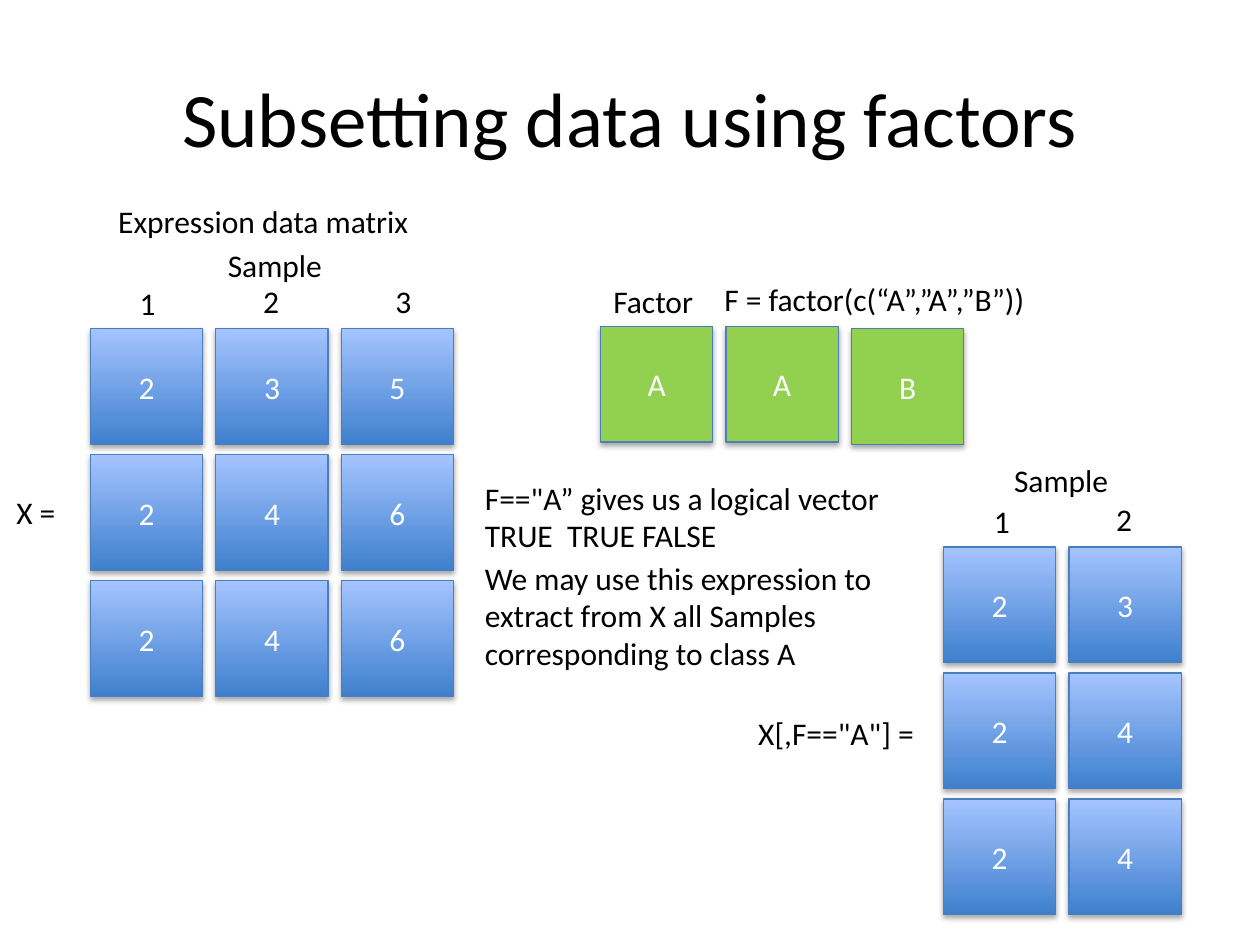
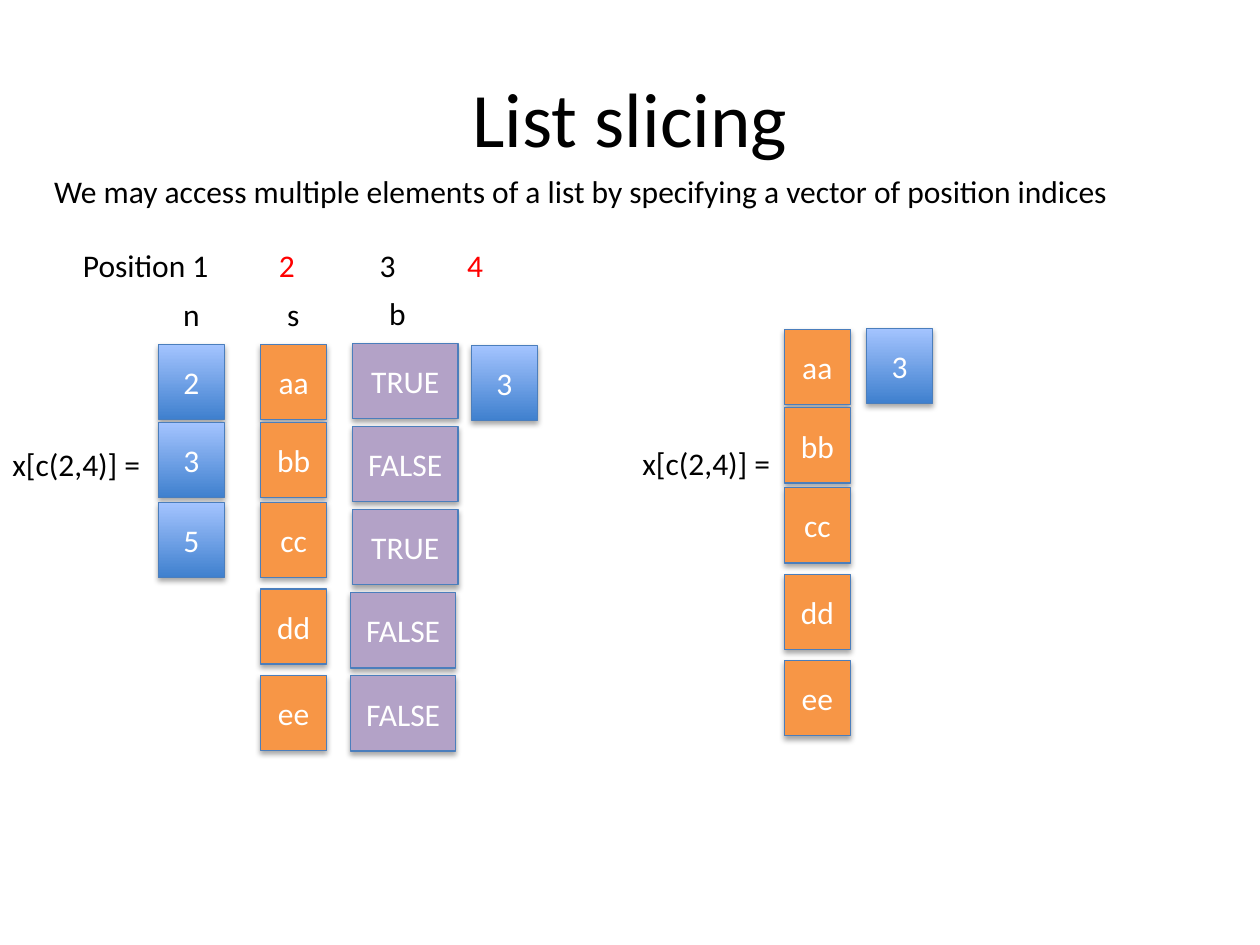
"""Builds two slides on subsetting matrices by factor and slicing lists."""
from lxml.etree import SubElement
from pptx import Presentation
from pptx.dml.color import RGBColor
from pptx.enum.shapes import MSO_SHAPE as Preset
from pptx.enum.text import MSO_ANCHOR as Anchor, MSO_AUTO_SIZE as AutoSize, PP_ALIGN as Align
from pptx.oxml.ns import qn
from pptx.util import Pt

BLUE = ("3F80CE", "A4C4FF")
GREEN, ORANGE, PURPLE = "92D050", "F79646", "B3A2C7"
OUTLINE, BLACK, WHITE, RED = "4B7EBC", "000000", "FFFFFF", "FF0000"
MATRIX_CELL = (64.2, 66.1)
MATRIX_PITCH = (71.7, 72)
LIST_CELL = (37.7, 43)
LIST_OFFSETS = (0, 44.7, 90.4, 139.8, 189.2)
LOGICAL_CELL = (60.3, 43)


def rgb(value):
    return RGBColor.from_string(value)


class Deck:
    def __init__(self):
        self.presentation = Presentation()
        self.presentation.slide_width = Pt(720)
        self.presentation.slide_height = Pt(540)
        self.slide = None

    def style(self, font, color, size=18):
        font.name = "Calibri"
        font.size = Pt(size)
        font.color.rgb = rgb(color)

    def start(self, text):
        self.slide = self.presentation.slides.add_slide(self.presentation.slide_layouts[5])
        title = self.slide.shapes.title
        title.left, title.top, title.width, title.height = Pt(36), Pt(21.6), Pt(648), Pt(90)
        frame = title.text_frame
        frame.text = text
        frame.vertical_anchor = Anchor.MIDDLE
        frame.paragraphs[0].alignment = Align.CENTER
        self.style(frame.paragraphs[0].font, BLACK, 44)

    def label(self, lines, left, top, width, height=29.1, wrap=False, tabs=(), colors=()):
        box = self.slide.shapes.add_textbox(Pt(left), Pt(top), Pt(width), Pt(height))
        frame = box.text_frame
        frame.word_wrap = wrap
        frame.auto_size = AutoSize.SHAPE_TO_FIT_TEXT
        for index, line in enumerate(lines.split("\n")):
            paragraph = frame.add_paragraph() if index else frame.paragraphs[0]
            if "\t" in line:
                stops = SubElement(paragraph._p.get_or_add_pPr(), qn("a:tabLst"))
                for stop in tabs:
                    SubElement(stops, qn("a:tab"), pos=str(Pt(stop)), algn="l")
            self.style(paragraph.font, BLACK)
            parts = line.split("\t")
            for position, part in enumerate(parts):
                run = paragraph.add_run()
                run.text = "\t" + part if position else part
                if colors:
                    run.font.color.rgb = rgb(colors[position])

    def cell(self, text, left, top, size, fill):
        shape = self.slide.shapes.add_shape(Preset.RECTANGLE, Pt(left), Pt(top), *map(Pt, size))
        if fill == BLUE:
            shape.fill.gradient()
            shape.fill.gradient_angle = 90
            for stop, color in zip(shape.fill.gradient_stops, fill):
                stop.color.rgb = rgb(color)
        else:
            shape.fill.solid()
            shape.fill.fore_color.rgb = rgb(fill)
        shape.line.color.rgb = rgb(OUTLINE)
        shape.line.width = Pt(0.75)
        self.shadow(shape)
        frame = shape.text_frame
        frame.text = text
        frame.vertical_anchor = Anchor.MIDDLE
        frame.paragraphs[0].alignment = Align.CENTER
        self.style(frame.paragraphs[0].font, WHITE)

    def shadow(self, shape):
        shape.shadow.inherit = False
        effects = shape._element.spPr.find(qn("a:effectLst"))
        outer = SubElement(effects, qn("a:outerShdw"), blurRad=str(Pt(3.15)), dist=str(Pt(1.8)),
                           dir="5400000", rotWithShape="0")
        color = SubElement(outer, qn("a:srgbClr"), val=BLACK)
        SubElement(color, qn("a:alpha"), val="35000")

    def grid(self, rows, left, top, fill):
        across, down = MATRIX_PITCH
        for row, values in enumerate(rows):
            for column, value in enumerate(values):
                self.cell(value, left + column * across, top + row * down, MATRIX_CELL, fill)

    def column(self, values, left, top, fill):
        for value, offset in zip(values, LIST_OFFSETS):
            self.cell(value, left, top + offset, LIST_CELL, fill)


def build_factors(deck):
    deck.start("Subsetting data using factors")
    deck.grid(["235", "246", "246"], 51.6, 187.8, BLUE)
    deck.grid(["AA"], 343.1, 186.5, GREEN)
    deck.cell("B", 486.5, 187.8, MATRIX_CELL, GREEN)
    deck.grid(["23", "24", "24"], 539.1, 312.6, BLUE)
    for text, left, top, width in (
        ("Expression data matrix", 60.5, 111.8, 182.2),
        ("Sample", 123.1, 137.3, 69.1),
        ("1", 72.7, 158.6, 23.8),
        ("2", 143.3, 157.7, 23.8),
        ("3", 218.9, 157.7, 23.8),
        ("Factor", 343.4, 157.7, 60.5),
        ("X =", 2.2, 278.1, 41.8),
        ("F = factor(c(“A”,”A”,”B”))", 406.8, 156.4, 187.9),
        ('X[,F=="A"] =', 426.2, 404.6, 104.4),
        ("Sample", 572.4, 259.9, 69.1),
        ("1", 560.9, 283.4, 23.8),
        ("2", 630.7, 282.4, 23.8),
    ):
        deck.label(text, left, top, width)
    deck.label('F=="A” gives us a logical vector\nTRUE\tTRUE FALSE', 270, 270, 242.6, 50.9, tabs=[47])
    deck.label("We may use this expression to extract from X all Samples corresponding to class A",
               270, 315.7, 254.9, 72.7, wrap=True)


def build_slicing(deck):
    deck.start("List slicing")
    letters = ["aa", "bb", "cc", "dd", "ee"]
    deck.column("235", 90.5, 196.7, BLUE)
    deck.column(letters, 149, 196.7, ORANGE)
    for row, value in enumerate(["TRUE", "FALSE", "TRUE", "FALSE", "FALSE"]):
        deck.cell(value, 201.4 if row < 3 else 200.2, 196.2 + row * 47.5, LOGICAL_CELL, PURPLE)
    deck.cell("3", 269.4, 197.3, LIST_CELL, BLUE)
    deck.column(letters, 448.2, 188.3, ORANGE)
    deck.cell("3", 495.2, 187.5, LIST_CELL, BLUE)
    for text, left, top, width in (
        ("x[c(2,4)] =", 0, 250.6, 88.6),
        ("x[c(2,4)] =", 360, 250.2, 88.6),
        ("n", 97.6, 165, 24.5),
        ("s", 157, 165, 21.6),
        ("b", 215.3, 164.4, 24.5),
        ("We may access multiple elements of a list by specifying a vector of position indices",
         23.8, 95, 624.2),
    ):
        deck.label(text, left, top, width)
    deck.label("Position 1\t2\t3\t4", 40.3, 136.8, 248.4, wrap=True,
               tabs=[112, 169.5, 219.5], colors=[BLACK, RED, BLACK, RED])


def main():
    deck = Deck()
    build_factors(deck)
    build_slicing(deck)
    deck.presentation.save("out.pptx")


if __name__ == "__main__":
    main()
